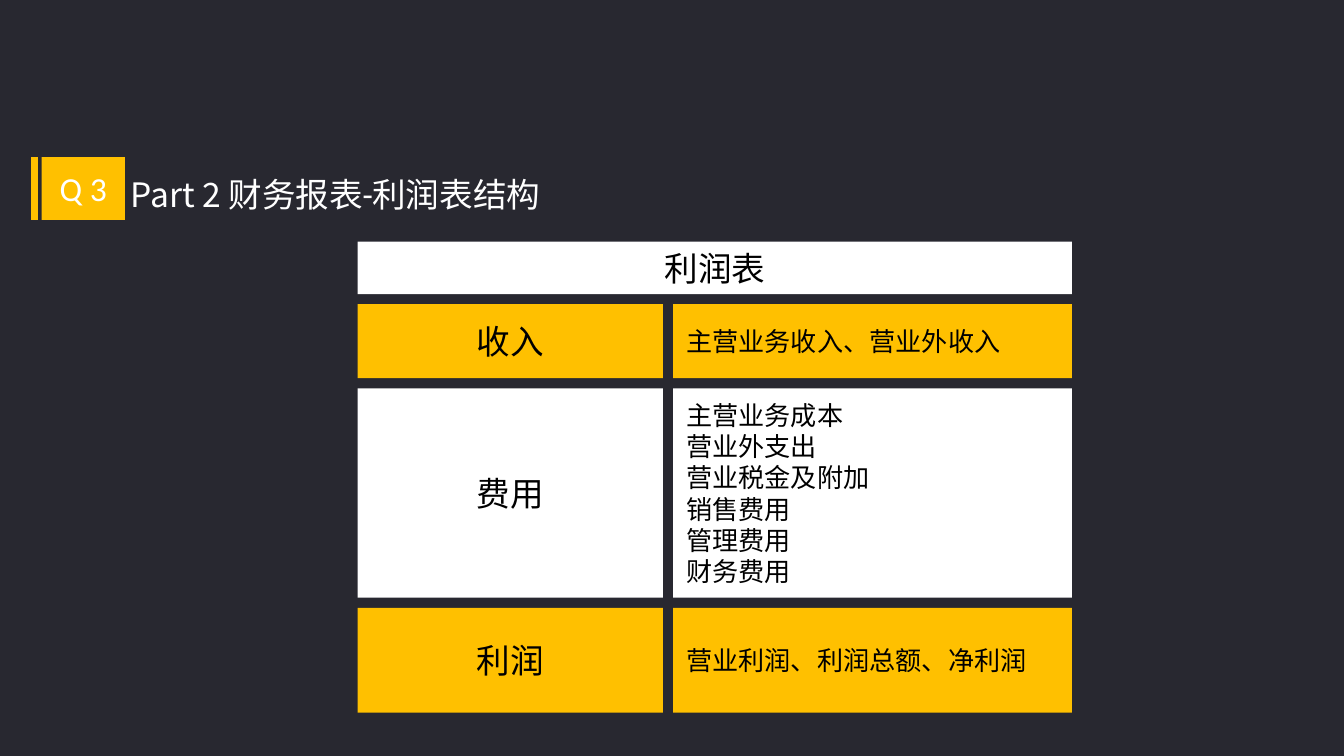
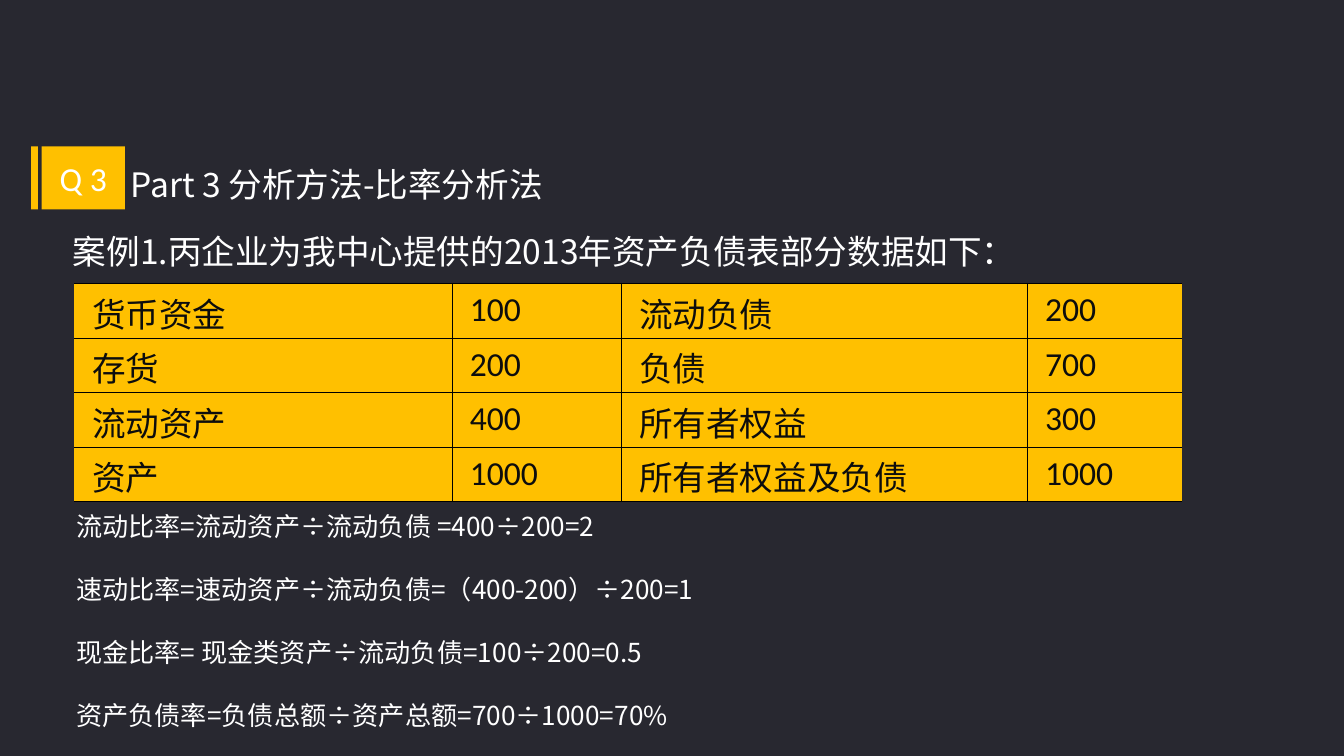
from dataclasses import dataclass

from lxml.etree import SubElement
from pptx import Presentation
from pptx.dml.color import RGBColor
from pptx.enum.shapes import MSO_SHAPE
from pptx.enum.text import MSO_ANCHOR, PP_ALIGN
from pptx.oxml.ns import qn
from pptx.util import Cm, Pt

BACKGROUND = "282830"
GOLD = "FFC000"
WHITE = "FFFFFF"
BLACK = "000000"
TABLE_INK = "0D0D0D"
CHINESE_FONT = "Noto Sans CJK SC"
LATIN_FONT = "Calibri"
TITLE_FONT = "Roboto"
LINE_HEIGHT = 1.2


@dataclass(frozen=True)
class Box:
    left: float
    top: float
    width: float
    height: float

    def lengths(self) -> tuple:
        return Cm(self.left), Cm(self.top), Cm(self.width), Cm(self.height)


@dataclass(frozen=True)
class StatementRow:
    height: float
    fill: str
    label: str
    items: str


STATEMENT_ROWS = [
    StatementRow(1.4, GOLD, "收入", "主营业务收入、营业外收入"),
    StatementRow(
        3.96, WHITE, "费用",
        "主营业务成本\n营业外支出\n营业税金及附加\n销售费用\n管理费用\n财务费用",
    ),
    StatementRow(1.98, GOLD, "利润", "营业利润、利润总额、净利润"),
]

BALANCE_ROWS = [
    ("货币资金", "100", "流动负债", "200"),
    ("存货", "200", "负债", "700"),
    ("流动资产", "400", "所有者权益", "300"),
    ("资产", "1000", "所有者权益及负债", "1000"),
]

RATIOS = "\n".join([
    "流动比率=流动资产÷流动负债 =400÷200=2",
    "速动比率=速动资产÷流动负债=（400-200）÷200=1",
    "现金比率= 现金类资产÷流动负债=100÷200=0.5",
    "资产负债率=负债总额÷资产总额=700÷1000=70%",
])


def color(value: str) -> RGBColor:
    return RGBColor.from_string(value)


def add_run(paragraph, text: str, *, size: float, ink: str, font: str) -> None:
    run = paragraph.add_run()
    run.text = text
    run.font.size = Pt(size)
    run.font.name = font
    run.font.color.rgb = color(ink)
    east_asian = SubElement(run.font._element, qn("a:ea"))
    east_asian.set("typeface", CHINESE_FONT)


def write_text(frame, text: str, *, size: float = 18, ink: str = WHITE,
               font: str = CHINESE_FONT, align=PP_ALIGN.LEFT, gap: float = 0) -> None:
    for index, line in enumerate(text.split("\n")):
        paragraph = frame.add_paragraph() if index else frame.paragraphs[0]
        paragraph.alignment = align
        paragraph.line_spacing = Pt(size * LINE_HEIGHT)
        paragraph.space_before = Pt(gap if index else 0)
        add_run(paragraph, line, size=size, ink=ink, font=font)


def add_panel(slide, box: Box, fill: str, text: str = "", **text_format) -> None:
    shape = slide.shapes.add_shape(MSO_SHAPE.RECTANGLE, *box.lengths())
    shape.shadow.inherit = False
    shape.fill.solid()
    shape.fill.fore_color.rgb = color(fill)
    shape.line.fill.background()
    if text:
        shape.text_frame.word_wrap = True
        shape.text_frame.vertical_anchor = MSO_ANCHOR.MIDDLE
        write_text(shape.text_frame, text, **text_format)


def add_text(slide, box: Box, text: str, *, wrap: bool = True, **text_format):
    frame = slide.shapes.add_textbox(*box.lengths()).text_frame
    frame.word_wrap = wrap
    write_text(frame, text, **text_format)
    return frame


def add_slide(presentation, top: float, title: str, title_rest: str = "") -> object:
    slide = presentation.slides.add_slide(presentation.slide_layouts[6])
    slide.background.fill.solid()
    slide.background.fill.fore_color.rgb = color(BACKGROUND)
    add_panel(slide, Box(0.59, top, 0.13, 1.19), GOLD)
    add_panel(slide, Box(0.79, top, 1.57, 1.19), GOLD, "Q 3",
              font=LATIN_FONT, align=PP_ALIGN.CENTER)
    frame = add_text(slide, Box(2.22, top + 0.2, 8.81, 1.02), title, wrap=False)
    if title_rest:
        add_run(frame.paragraphs[0], title_rest, size=18, ink=WHITE, font=TITLE_FONT)
    return slide


def add_income_statement(slide) -> None:
    left, top, gap = 6.76, 4.57, 0.19
    label_width, items_width, heading_height = 5.77, 7.54, 0.99
    heading = Box(left, top, label_width + gap + items_width, heading_height)
    add_panel(slide, heading, WHITE, "利润表", ink=BLACK, align=PP_ALIGN.CENTER)
    top += heading_height + gap
    for row in STATEMENT_ROWS:
        add_panel(slide, Box(left, top, label_width, row.height), row.fill,
                  row.label, ink=BLACK, align=PP_ALIGN.CENTER)
        add_panel(slide, Box(left + label_width + gap, top, items_width, row.height),
                  row.fill, row.items, size=14, ink=BLACK)
        top += row.height + gap


def add_border(cell, side: str, width: float) -> None:
    line = SubElement(cell._tc.get_or_add_tcPr(), qn(f"a:ln{side}"))
    line.set("w", str(Pt(width)))
    if width:
        fill = SubElement(line, qn("a:solidFill"))
        SubElement(fill, qn("a:srgbClr")).set("val", BLACK)
    else:
        SubElement(line, qn("a:noFill"))


def add_balance_table(slide) -> None:
    widths = [7.14, 3.2, 7.67, 2.92]
    row_height = 1.03
    last_row, last_column = len(BALANCE_ROWS) - 1, len(widths) - 1
    box = Box(1.4, 5.36, sum(widths), row_height * len(BALANCE_ROWS))
    table = slide.shapes.add_table(len(BALANCE_ROWS), len(widths), *box.lengths()).table
    table.first_row = table.horz_banding = False
    for column, width in zip(table.columns, widths):
        column.width = Cm(width)
    for row_index, values in enumerate(BALANCE_ROWS):
        table.rows[row_index].height = Cm(row_height)
        for column_index, value in enumerate(values):
            cell = table.cell(row_index, column_index)
            is_amount = value.isdigit()
            cell.margin_left = cell.margin_right = Cm(0.34)
            cell.margin_top = Cm(0.13 if is_amount else 0.25)
            cell.margin_bottom = Cm(0)
            write_text(cell.text_frame, value, ink=TABLE_INK,
                       font=LATIN_FONT)
            add_border(cell, "L", 0.45 if column_index else 0)
            add_border(cell, "R", 0.45 if column_index < last_column else 0)
            add_border(cell, "T", 0.45 if row_index else 1.08)
            add_border(cell, "B", 0.45 if row_index < last_row else 1.08)
            cell.fill.solid()
            cell.fill.fore_color.rgb = color(GOLD)


def main() -> None:
    presentation = Presentation()
    presentation.slide_width = Cm(25.4)
    presentation.slide_height = Cm(14.29)

    statement_slide = add_slide(presentation, 2.97, "Part 2 ", "财务报表-利润表结构")
    add_income_statement(statement_slide)

    ratio_slide = add_slide(presentation, 2.77, "Part 3 分析方法-比率分析法")
    add_balance_table(ratio_slide)
    add_text(ratio_slide, Box(1.13, 4.24, 19.3, 1.04),
             "案例1.丙企业为我中心提供的2013年资产负债表部分数据如下：")
    add_text(ratio_slide, Box(1.19, 9.53, 13.49, 4.42), RATIOS, size=14, gap=16.8)

    presentation.save("out.pptx")


if __name__ == "__main__":
    main()
